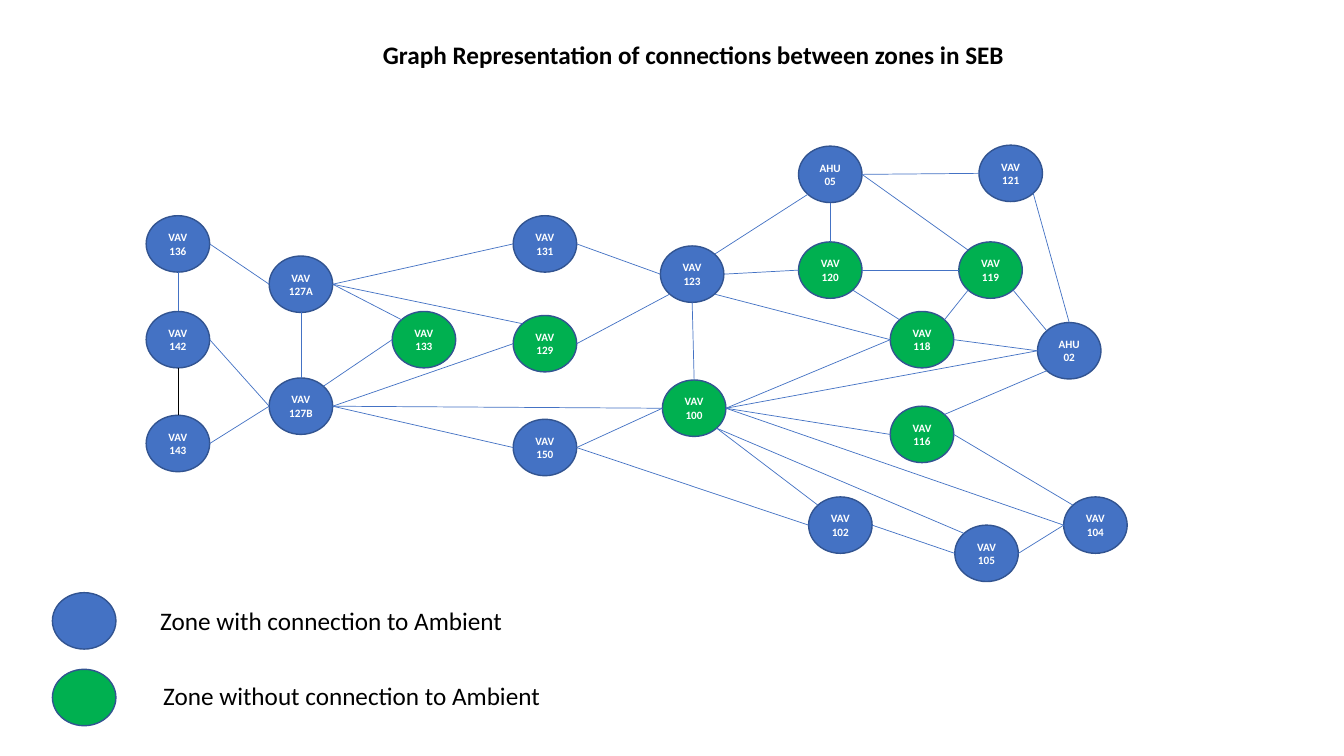
"""Build the zone connection graph slide."""
from lxml import etree
from pptx import Presentation
from pptx.dml.color import RGBColor
from pptx.enum.shapes import MSO_CONNECTOR, MSO_SHAPE
from pptx.enum.text import MSO_ANCHOR, PP_ALIGN
from pptx.oxml.ns import qn
from pptx.util import Inches, Pt

ELLIPSE = MSO_SHAPE.OVAL
STRAIGHT = MSO_CONNECTOR.STRAIGHT
MIDDLE = MSO_ANCHOR.MIDDLE
CENTER = PP_ALIGN.CENTER

FONT = "Calibri"
BLUE, GREEN, OUTLINE = "4472C4", "00B050", "325491"
BLACK, WHITE = "000000", "FFFFFF"
NODE_WIDTH, NODE_HEIGHT = 0.63, 0.56
DIAGONAL = 0.354

SITES = {
    "top": (0, 0, -0.5),
    "top left": (1, -DIAGONAL, -DIAGONAL),
    "left": (2, -0.5, 0),
    "bottom left": (3, -DIAGONAL, DIAGONAL),
    "bottom": (4, 0, 0.5),
    "bottom right": (5, DIAGONAL, DIAGONAL),
    "right": (6, 0.5, 0),
    "top right": (7, DIAGONAL, -DIAGONAL),
}

AMBIENT_ZONES = {
    "VAV 136": (1.45, 2.14), "VAV 142": (1.45, 3.09), "VAV 143": (1.45, 4.12),
    "VAV 127A": (2.67, 2.54), "VAV 127B": (2.67, 3.75),
    "VAV 131": (5.09, 2.14), "VAV 150": (5.09, 4.16), "VAV 123": (6.55, 2.44),
    "AHU 05": (7.92, 1.45), "VAV 121": (9.71, 1.44), "AHU 02": (10.29, 3.2),
    "VAV 102": (8.02, 4.93), "VAV 105": (9.47, 5.21), "VAV 104": (10.55, 4.93),
}
INNER_ZONES = {
    "VAV 133": (3.89, 3.09), "VAV 129": (5.09, 3.13), "VAV 100": (6.57, 3.77),
    "VAV 120": (7.92, 2.4), "VAV 118": (8.83, 3.09), "VAV 119": (9.51, 2.4),
    "VAV 116": (8.83, 4.03),
}

LINKS = [
    ("VAV 136", "bottom", "VAV 142", "top"),
    ("VAV 136", "right", "VAV 127A", "left"),
    ("VAV 127B", "top", "VAV 127A", "bottom"),
    ("VAV 142", "right", "VAV 127B", "left"),
    ("VAV 143", "right", "VAV 127B", "left"),
    ("VAV 127B", "top right", "VAV 133", "left"),
    ("VAV 127B", "right", "VAV 129", "left"),
    ("VAV 127A", "right", "VAV 133", "top left"),
    ("VAV 127B", "right", "VAV 100", "left"),
    ("VAV 127B", "right", "VAV 150", "left"),
    ("VAV 127A", "right", "VAV 129", "top left"),
    ("VAV 127A", "right", "VAV 131", "left"),
    ("VAV 129", "right", "VAV 123", "bottom left"),
    ("VAV 131", "right", "VAV 123", "left"),
    ("VAV 150", "right", "VAV 100", "left"),
    ("VAV 150", "right", "VAV 102", "left"),
    ("VAV 123", "bottom", "VAV 100", "top"),
    ("VAV 123", "top right", "AHU 05", "bottom left"),
    ("VAV 123", "right", "VAV 120", "left"),
    ("VAV 123", "bottom right", "VAV 118", "left"),
    ("VAV 100", "right", "VAV 118", "left"),
    ("VAV 100", "right", "AHU 02", "left"),
    ("VAV 100", "right", "VAV 116", "left"),
    ("VAV 100", "right", "VAV 104", "left"),
    ("VAV 100", "bottom right", "VAV 102", "top left"),
    ("VAV 100", "bottom right", "VAV 105", "top left"),
    ("VAV 102", "right", "VAV 105", "left"),
    ("VAV 105", "right", "VAV 104", "left"),
    ("VAV 116", "right", "VAV 104", "top left"),
    ("VAV 116", "top right", "AHU 02", "bottom left"),
    ("VAV 118", "right", "AHU 02", "left"),
    ("VAV 119", "bottom right", "AHU 02", "top left"),
    ("VAV 121", "bottom right", "AHU 02", "top"),
    ("VAV 120", "bottom right", "VAV 118", "top left"),
    ("VAV 118", "top right", "VAV 119", "bottom left"),
    ("VAV 120", "right", "VAV 119", "left"),
    ("AHU 05", "right", "VAV 119", "top left"),
    ("AHU 05", "bottom", "VAV 120", "top"),
    ("AHU 05", "right", "VAV 121", "left"),
]


def color(value):
    """Turn a hex string into a colour."""
    return RGBColor.from_string(value)


def add_run(paragraph, text, size, text_color, bold):
    """Add one formatted run to a paragraph."""
    run = paragraph.add_run()
    run.text = text
    run.font.name = FONT
    run.font.size = Pt(size)
    run.font.bold = bold
    run.font.color.rgb = color(text_color)


def add_node(slide, position, fill, label=""):
    """Draw a zone ellipse, with a label if one is given."""
    left, top = position
    node = slide.shapes.add_shape(ELLIPSE, Inches(left), Inches(top),
                                  Inches(NODE_WIDTH), Inches(NODE_HEIGHT))
    node.shadow.inherit = False
    node.fill.solid()
    node.fill.fore_color.rgb = color(fill)
    node.line.color.rgb = color(OUTLINE)
    node.line.width = Pt(1)
    if label:
        frame = node.text_frame
        frame.word_wrap = True
        frame.vertical_anchor = MIDDLE
        frame.margin_left = frame.margin_right = Inches(0.06)
        frame.paragraphs[0].alignment = CENTER
        add_run(frame.paragraphs[0], label, 8, WHITE, True)
    return node


def site_point(node, site):
    """Find where a named connection site lies on a node."""
    _, across, down = SITES[site]
    return (round(node.left + (0.5 + across) * node.width),
            round(node.top + (0.5 + down) * node.height))


def add_link(slide, start, start_site, end, end_site, line_color=BLUE):
    """Join two nodes with a line glued to their connection sites."""
    link = slide.shapes.add_connector(
        STRAIGHT, *site_point(start, start_site), *site_point(end, end_site))
    link.line.color.rgb = color(line_color)
    link.line.width = Pt(0.5)
    etree.SubElement(link._element.spPr, qn("a:effectLst"))
    joints = link._element.find(".//" + qn("p:cNvCxnSpPr"))
    for tag, node, site in (("a:stCxn", start, start_site),
                            ("a:endCxn", end, end_site)):
        etree.SubElement(joints, qn(tag), id=str(node.shape_id),
                         idx=str(SITES[site][0]))


def add_text(slide, left, top, width, text, bold=False):
    """Add a single line of 18 point text."""
    box = slide.shapes.add_textbox(Inches(left), Inches(top),
                                   Inches(width), Inches(0.4))
    box.text_frame.word_wrap = True
    add_run(box.text_frame.paragraphs[0], text, 18, BLACK, bold)


def main():
    """Build and save the slide."""
    presentation = Presentation()
    presentation.slide_width = Inches(13.33)
    presentation.slide_height = Inches(7.5)
    slide = presentation.slides.add_slide(presentation.slide_layouts[6])

    add_text(slide, 3.7, 0.34, 6.53,
             "Graph Representation of connections between zones in SEB", True)

    nodes = {}
    for zones, fill in ((AMBIENT_ZONES, BLUE), (INNER_ZONES, GREEN)):
        for label, position in zones.items():
            nodes[label] = add_node(slide, position, fill, label)

    add_link(slide, nodes["VAV 143"], "top", nodes["VAV 142"], "bottom", BLACK)
    for start, start_site, end, end_site in LINKS:
        add_link(slide, nodes[start], start_site, nodes[end], end_site)

    add_node(slide, (0.52, 5.88), BLUE)
    add_text(slide, 1.49, 5.96, 3.69, "Zone with connection to Ambient")
    add_node(slide, (0.52, 6.64), GREEN)
    add_text(slide, 1.52, 6.7, 4.1, "Zone without connection to Ambient")

    presentation.save("out.pptx")


main()
